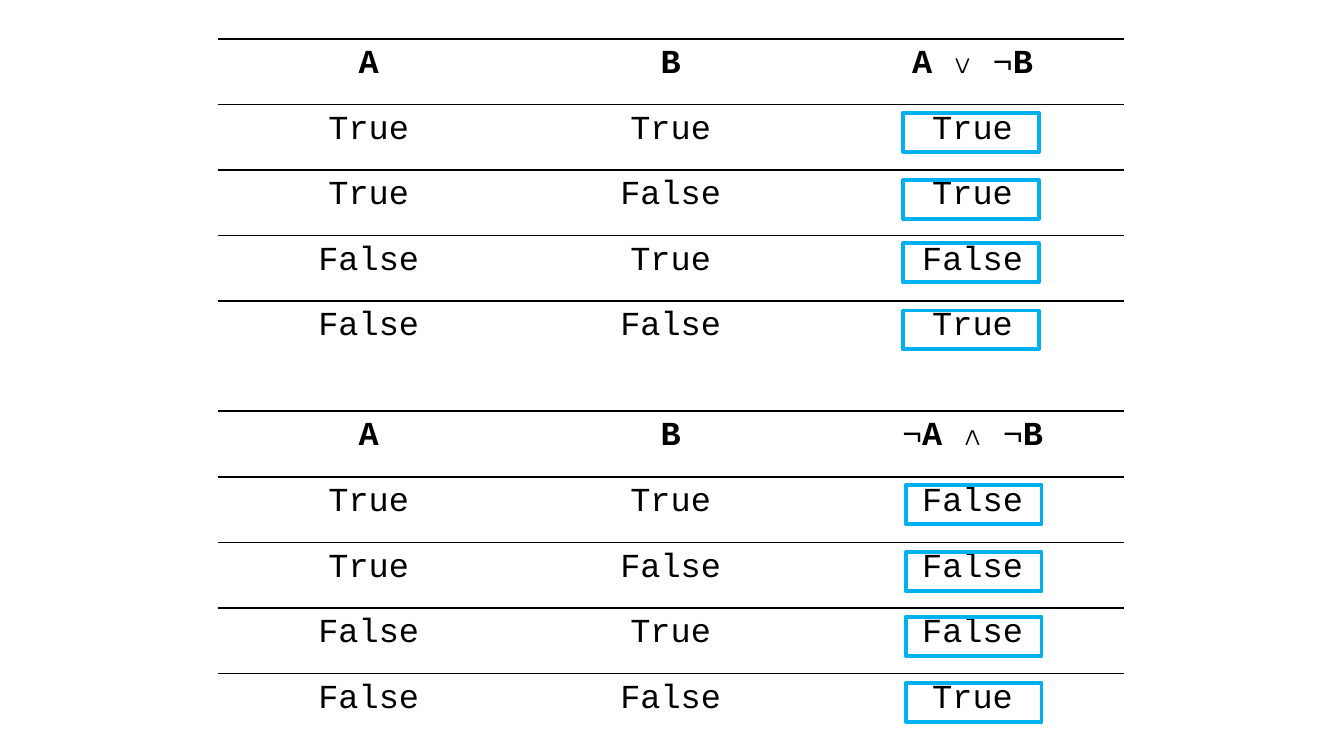
from itertools import groupby

from lxml.etree import SubElement
from pptx import Presentation
from pptx.dml.color import RGBColor
from pptx.enum.shapes import MSO_SHAPE as Shape
from pptx.enum.text import PP_ALIGN as Align
from pptx.oxml.ns import qn
from pptx.util import Inches, Pt

BLACK = RGBColor(0x00, 0x00, 0x00)
BLUE = RGBColor(0x00, 0xB0, 0xF0)

TABLE_LEFT, TABLE_WIDTH, TABLE_HEIGHT = Inches(1.62), Inches(6.74), Inches(2.44)
BOX_WIDTH, BOX_HEIGHT = Inches(1.01), Inches(0.29)
FONT = {"name": "Courier New", "size": Pt(18)}

INPUTS = [("True", "True"), ("True", "False"), ("False", "True"), ("False", "False")]
TRUTH_TABLES = [
    {"top": 0.29, "formula": "A ∨ ¬B", "results": ["True", "True", "False", "True"],
     "box_left": 6.72, "box_tops": [0.84, 1.34, 1.81, 2.31]},
    {"top": 3.06, "formula": "¬A ∧ ¬B", "results": ["False", "False", "False", "True"],
     "box_left": 6.74, "box_tops": [3.61, 4.11, 4.59, 5.08]},
]


def set_borders(cell, is_last):
    """Rule the cell above and below, leaving the table's foot and sides open."""
    properties = cell._tc.get_or_add_tcPr()
    visible = {"lnL": False, "lnR": False, "lnT": True, "lnB": not is_last}
    for side, shown in visible.items():
        line = SubElement(properties, qn(f"a:{side}"), w=str(Pt(1)))
        if shown:
            fill = SubElement(line, qn("a:solidFill"))
            SubElement(fill, qn("a:srgbClr"), val=str(BLACK))
        else:
            SubElement(line, qn("a:noFill"))


def write_cell(cell, text, is_header):
    paragraph = cell.text_frame.paragraphs[0]
    paragraph.alignment = Align.CENTER
    # Negation signs stay regular inside the bold header
    for is_negation, letters in groupby(text, key=lambda letter: letter == "¬"):
        run = paragraph.add_run()
        run.text = "".join(letters)
        for name, value in FONT.items():
            setattr(run.font, name, value)
        run.font.bold = is_header and not is_negation
        run.font.color.rgb = BLACK


def add_truth_table(slide, top, formula, results):
    rows = [("A", "B", formula)]
    rows += [(*pair, result) for pair, result in zip(INPUTS, results)]
    # The new table shares its size evenly among columns and rows
    frame = slide.shapes.add_table(
        len(rows), 3, TABLE_LEFT, Inches(top), TABLE_WIDTH, TABLE_HEIGHT)
    table = frame.table
    table.first_row = table.horz_banding = False
    for row_index, values in enumerate(rows):
        for column_index, text in enumerate(values):
            cell = table.cell(row_index, column_index)
            set_borders(cell, row_index == len(rows) - 1)
            cell.fill.background()
            write_cell(cell, text, row_index == 0)


def add_result_box(slide, left, top):
    box = slide.shapes.add_shape(
        Shape.RECTANGLE, Inches(left), Inches(top), BOX_WIDTH, BOX_HEIGHT)
    box.shadow.inherit = False
    box.fill.background()
    box.line.color.rgb = BLUE
    box.line.width = Pt(2)


def main():
    presentation = Presentation()
    # Widescreen page, 16:9
    presentation.slide_width = Inches(10)
    presentation.slide_height = Inches(10 * 9 / 16)
    slide = presentation.slides.add_slide(presentation.slide_layouts[6])

    # Truth tables
    for item in TRUTH_TABLES:
        add_truth_table(slide, item["top"], item["formula"], item["results"])

    # Boxes around the results
    for item in TRUTH_TABLES:
        for top in item["box_tops"]:
            add_result_box(slide, item["box_left"], top)

    presentation.save("out.pptx")


if __name__ == "__main__":
    main()
